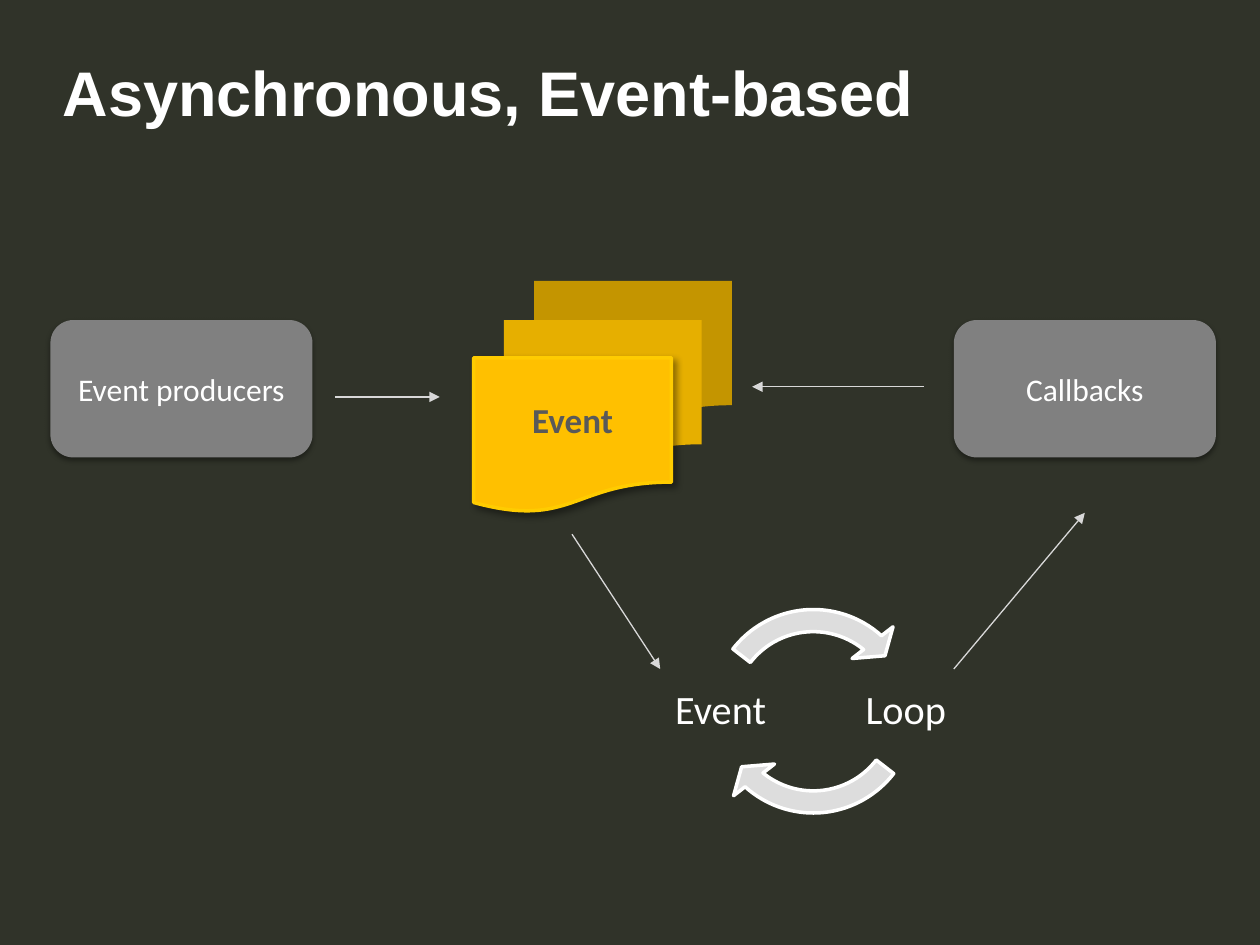
from lxml.etree import SubElement
from pptx import Presentation
from pptx.dml.color import RGBColor
from pptx.enum.shapes import MSO_CONNECTOR as Connector, MSO_SHAPE as Shape
from pptx.enum.text import MSO_ANCHOR as Anchor, PP_ALIGN as Align
from pptx.oxml.ns import qn
from pptx.util import Inches, Pt

COLORS = {
    "background": "303329",
    "white": "FFFFFF",
    "black": "000000",
    "back_document": "C49500",
    "middle_document": "E6AF00",
    "front_document": "FFC000",
    "document_border": "FFCC00",
    "document_text": "595959",
    "box": "808080",
    "loop": "DDDDDD",
    "arrow": "D8D8D8",
}
BOX_SHADOW = dict(alpha=38, blur=3.1, distance=1.6, angle=90)
DOCUMENT_SHADOW = dict(alpha=40, blur=4, distance=3, angle=45)


def color(name):
    return RGBColor.from_string(COLORS[name])


def write_text(shape, text, size, fill="white", font="Calibri", bold=False,
               align=Align.CENTER, anchor=Anchor.MIDDLE, spacing=None, inset=None):
    frame = shape.text_frame
    frame.word_wrap = True
    frame.vertical_anchor = anchor
    if inset is not None:
        frame.margin_left = frame.margin_right = Inches(inset)
        frame.margin_top = frame.margin_bottom = Inches(inset)
    paragraph = frame.paragraphs[0]
    paragraph.alignment = align
    paragraph.line_spacing = spacing
    run = paragraph.add_run()
    run.text = text
    run.font.name = font
    run.font.size = Pt(size)
    run.font.bold = bold
    run.font.color.rgb = color(fill)


def add_label(slide, text, left, top, width, height, **text_format):
    box = slide.shapes.add_textbox(Inches(left), Inches(top), Inches(width), Inches(height))
    write_text(box, text, **text_format)


def add_shadow(shape, alpha, blur, distance, angle):
    effects = shape._element.spPr.find(qn("a:effectLst"))
    shadow = SubElement(effects, qn("a:outerShdw"), blurRad=str(Pt(blur)),
                        dist=str(Pt(distance)), dir=str(angle * 60000),
                        algn="ctr", rotWithShape="0")
    shade = SubElement(shadow, qn("a:srgbClr"), val=COLORS["black"])
    SubElement(shade, qn("a:alpha"), val=str(alpha * 1000))


def add_figure(slide, kind, left, top, width, height, fill, line=None, shadow=None):
    shape = slide.shapes.add_shape(kind, Inches(left), Inches(top), Inches(width), Inches(height))
    shape.fill.solid()
    shape.fill.fore_color.rgb = color(fill)
    if line:
        shape.line.color.rgb = color(line)
        shape.line.width = Pt(2)
    else:
        shape.line.fill.background()
    shape.shadow.inherit = False
    if shadow:
        add_shadow(shape, **shadow)
    return shape


def add_box(slide, text, left):
    box = add_figure(slide, Shape.ROUNDED_RECTANGLE, left, 2.54, 2.08, 1.09,
                     "box", shadow=BOX_SHADOW)
    write_text(box, text, size=18)


def add_document_stack(slide):
    def add_document(left, top, fill, **style):
        return add_figure(slide, Shape.FLOWCHART_DOCUMENT, left, top, 1.57, 1.23, fill, **style)

    add_document(4.24, 2.23, "back_document")
    add_document(4, 2.54, "middle_document")
    front = add_document(3.76, 2.84, "front_document", line="document_border",
                         shadow=DOCUMENT_SHADOW)
    write_text(front, "Event", size=20, fill="document_text", bold=True)


def add_event_loop(slide):
    for text, left, end, start in (("Loop", 6.74, 78.49, 22.66), ("Event", 5.27, 186.49, 130.66)):
        add_label(slide, text, left, 5.2, 0.9, 0.9, size=23, spacing=0.9, inset=0.03)
        arrow = add_figure(slide, Shape.CIRCULAR_ARROW, 5.53, 4.72, 1.85, 1.85,
                           "loop", line="white")
        for index, value in enumerate((0.095, 6.85, end, start, 0.111)):
            arrow.adjustments[index] = value


def add_arrow(slide, start, end):
    points = [Inches(value) for value in start + end]
    arrow = slide.shapes.add_connector(Connector.STRAIGHT, *points)
    arrow.line.color.rgb = color("arrow")
    arrow.line.width = Pt(0.75)
    SubElement(arrow.line._get_or_add_ln(), qn("a:tailEnd"), type="triangle")
    SubElement(arrow._element.spPr, qn("a:effectLst"))


def main():
    presentation = Presentation()
    presentation.slide_width = Inches(10)
    presentation.slide_height = Inches(7.5)
    slide = presentation.slides.add_slide(presentation.slide_layouts[6])
    slide.background.fill.solid()
    slide.background.fill.fore_color.rgb = color("background")

    add_label(slide, "Asynchronous, Event-based", 0.5, 0.48, 9, 0.66, size=36, font="Arial",
              bold=True, align=Align.LEFT, anchor=Anchor.TOP, spacing=Pt(39), inset=0)
    add_document_stack(slide)
    add_event_loop(slide)
    add_box(slide, "Callbacks", 7.57)
    add_box(slide, "Event producers", 0.4)
    for start, end in (
        ((4.54, 4.24), (5.24, 5.31)),
        ((7.57, 5.31), (8.61, 4.07)),
        ((7.33, 3.07), (5.97, 3.07)),
        ((2.66, 3.15), (3.49, 3.15)),
    ):
        add_arrow(slide, start, end)
    presentation.save("out.pptx")


if __name__ == "__main__":
    main()
